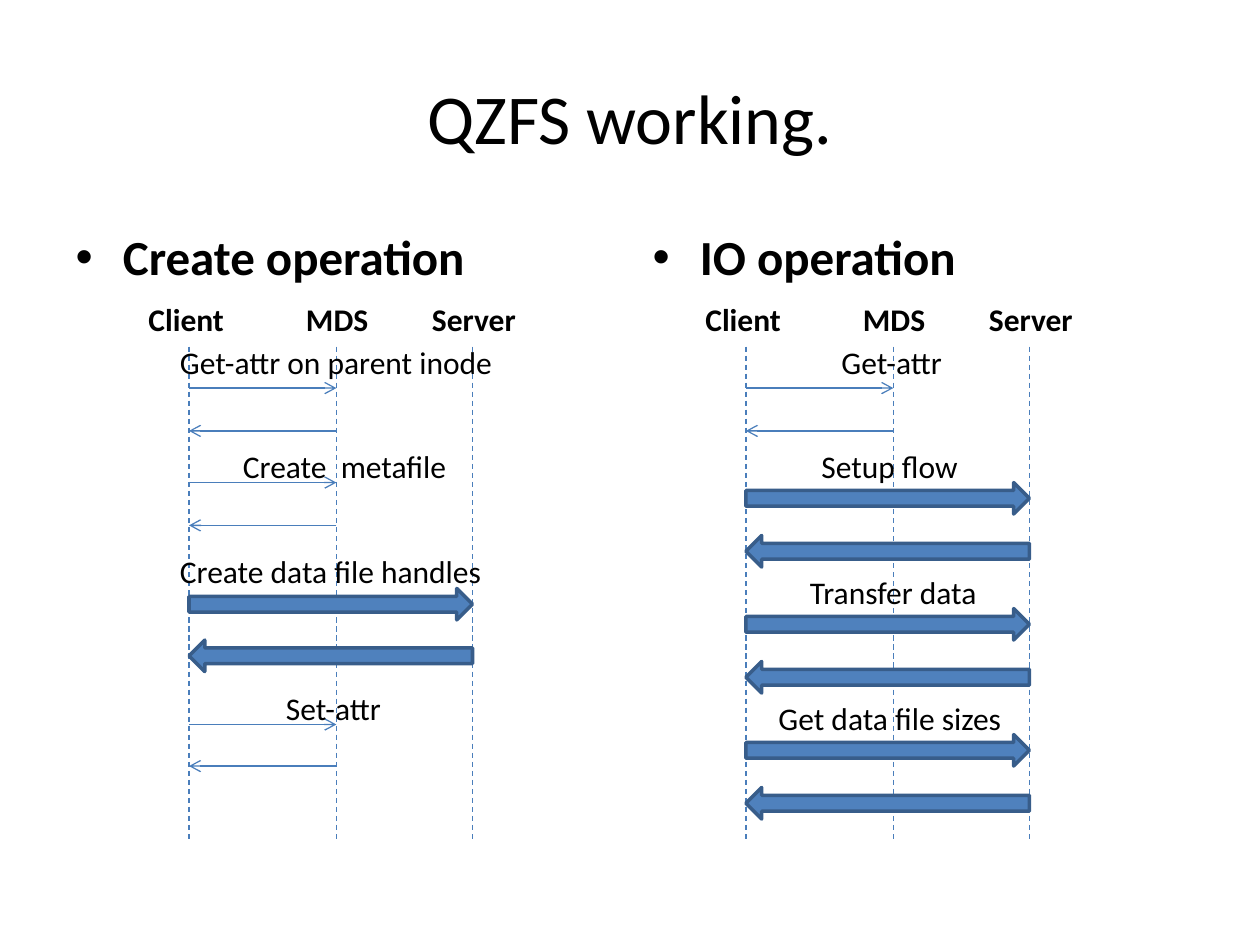
from lxml import etree
from pptx import Presentation
from pptx.dml.color import RGBColor
from pptx.enum.dml import MSO_LINE
from pptx.enum.shapes import MSO_CONNECTOR, MSO_SHAPE
from pptx.enum.text import MSO_ANCHOR, MSO_AUTO_SIZE, PP_ALIGN
from pptx.oxml.ns import qn
from pptx.util import Inches, Pt

STRAIGHT = MSO_CONNECTOR.STRAIGHT
RIGHT_ARROW = MSO_SHAPE.RIGHT_ARROW
DASH = MSO_LINE.DASH
MIDDLE = MSO_ANCHOR.MIDDLE
NO_AUTOFIT = MSO_AUTO_SIZE.NONE
CENTER = PP_ALIGN.CENTER

TITLE = "QZFS working."
# Lifelines: name, offset of the line and of its label from the client line, label width
ACTORS = [("Client", 0, -0.42, 1), ("MDS", 1.17, 0.83, 0.92), ("Server", 2.25, 1.83, 0.92)]
# Steps: text, text offset from the client line, text top, target, request top, reply top
OPERATIONS = [
    {"heading": "Create operation", "left": 0.5, "client": 1.5, "steps": [
        ("Get-attr on parent inode", -0.17, 2.67, "MDS", 3.08, 3.42),
        ("Create  metafile", 0.33, 3.5, "MDS", 3.83, 4.17),
        ("Create data file handles", -0.17, 4.33, "Server", 4.67, 5.08),
        ("Set-attr", 0.67, 5.42, "MDS", 5.75, 6.08),
    ]},
    {"heading": "IO operation", "left": 5.08, "client": 5.92, "steps": [
        ("Get-attr", 0.66, 2.67, "MDS", 3.08, 3.42),
        ("Setup flow", 0.5, 3.5, "Server", 3.83, 4.25),
        ("Transfer data", 0.41, 4.5, "Server", 4.83, 5.25),
        ("Get data file sizes", 0.16, 5.5, "Server", 5.83, 6.25),
    ]},
]
LIFELINE_TOP, LIFELINE_BOTTOM = 2.75, 6.67
MDS_REACH, SERVER_REACH = ACTORS[1][1], ACTORS[2][1]
LABEL_TOP, LABEL_HEIGHT, STEP_WIDTH = 2.33, 0.4, 2.75
BLOCK_HEIGHT = 0.25


def color(hex_value):
    return RGBColor.from_string(hex_value)


def format_text(frame, size, bold=False):
    for paragraph in frame.paragraphs:
        for span in paragraph.runs:
            span.font.name = "Calibri"
            span.font.size = Pt(size)
            span.font.bold = bold
            span.font.color.rgb = color("000000")


def fill_placeholder(holder, text, left, top, width, height, size, bold=False):
    holder.left, holder.top = Inches(left), Inches(top)
    holder.width, holder.height = Inches(width), Inches(height)
    frame = holder.text_frame
    frame.text = text
    frame.auto_size = NO_AUTOFIT
    format_text(frame, size, bold)
    return frame


def add_label(page, text, left, top, width, bold=False):
    box = page.shapes.add_textbox(Inches(left), Inches(top), Inches(width), Inches(LABEL_HEIGHT))
    box.text_frame.word_wrap = True
    box.text_frame.text = text
    format_text(box.text_frame, 18, bold)


def add_line(page, x1, y1, x2, y2):
    line = page.shapes.add_connector(STRAIGHT, Inches(x1), Inches(y1), Inches(x2), Inches(y2))
    line.line.color.rgb = color("4A7EBB")
    line.line.width = Pt(0.75)
    etree.SubElement(line._element.spPr, qn("a:effectLst"))
    return line


def add_thin_arrow(page, start, end, y):
    arrow = add_line(page, start, y, end, y)
    etree.SubElement(arrow._element.spPr.get_or_add_ln(), qn("a:tailEnd"), type="arrow")


def add_block_arrow(page, left, top, rotation):
    arrow = page.shapes.add_shape(RIGHT_ARROW, Inches(left), Inches(top),
                                  Inches(SERVER_REACH), Inches(BLOCK_HEIGHT))
    arrow.rotation = rotation
    arrow.shadow.inherit = False
    arrow.fill.solid()
    arrow.fill.fore_color.rgb = color("4F81BD")
    arrow.line.color.rgb = color("385D8A")
    arrow.line.width = Pt(2)


def add_sequence(page, client, steps):
    for name, offset, label_offset, width in ACTORS:
        x = client + offset
        add_line(page, x, LIFELINE_TOP, x, LIFELINE_BOTTOM).line.dash_style = DASH
        add_label(page, name, client + label_offset, LABEL_TOP, width, bold=True)
    for text, offset, top, target, request, reply in steps:
        if target == "MDS":
            add_thin_arrow(page, client, client + MDS_REACH, request)
            add_thin_arrow(page, client + MDS_REACH, client, reply)
        else:
            add_block_arrow(page, client, request, 0)
            add_block_arrow(page, client, reply, 180)
        add_label(page, text, client + offset, top, STEP_WIDTH)


def main():
    deck = Presentation()
    deck.slide_width, deck.slide_height = Inches(10), Inches(7.5)
    page = deck.slides.add_slide(deck.slide_layouts.get_by_name("Two Content"))
    title, *bodies = page.placeholders
    frame = fill_placeholder(title, TITLE, 0.5, 0.3, 9, 1.25, 40)
    frame.vertical_anchor = MIDDLE
    frame.paragraphs[0].alignment = CENTER
    for body, operation in zip(bodies, OPERATIONS):
        frame = fill_placeholder(body, operation["heading"], operation["left"], 1.75,
                                 4.42, 0.58, 28, bold=True)
        frame.paragraphs[0].space_before = Pt(7)
        add_sequence(page, operation["client"], operation["steps"])
    deck.save("out.pptx")


if __name__ == "__main__":
    main()
